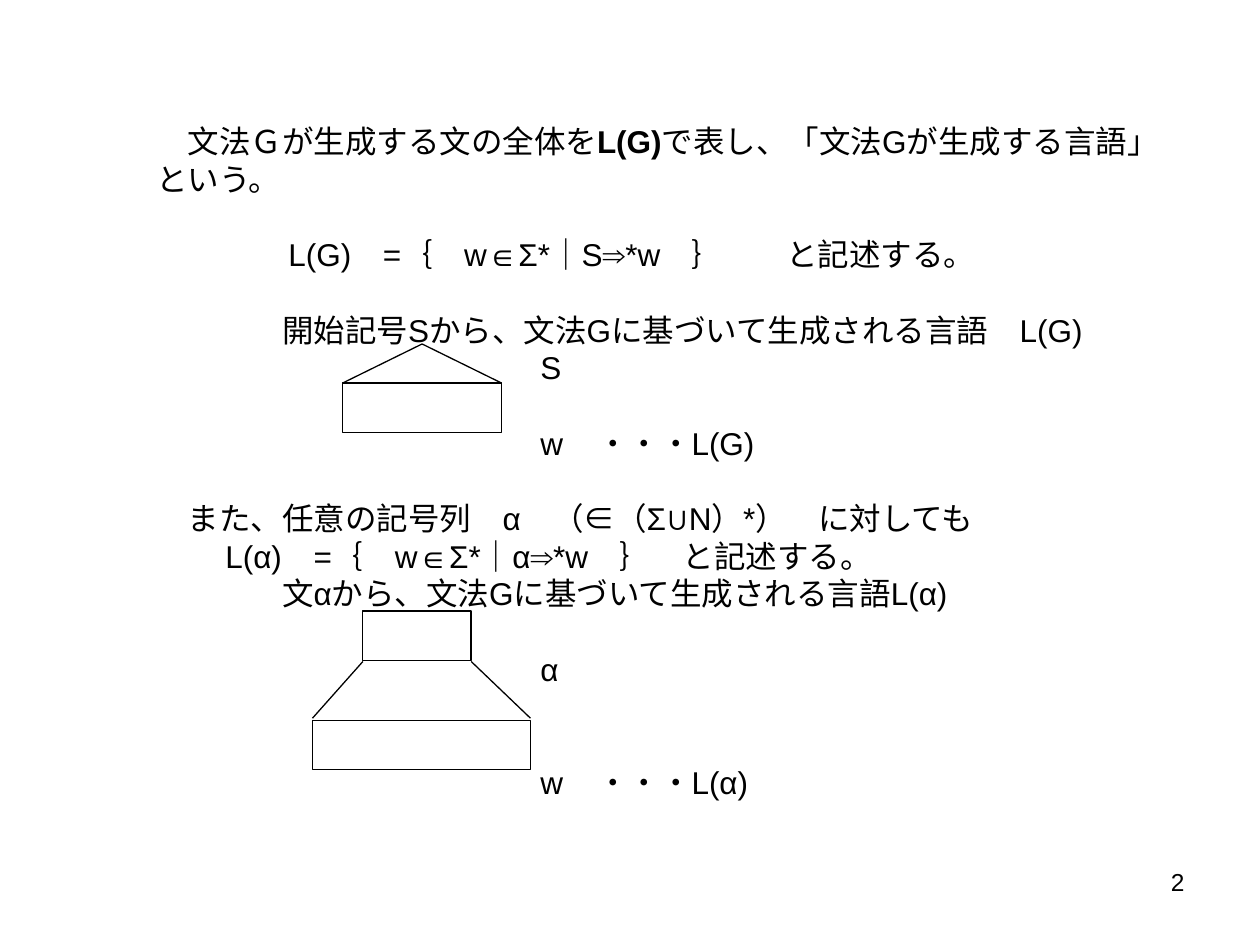
from lxml import etree
from pptx import Presentation
from pptx.dml.color import RGBColor
from pptx.enum.shapes import MSO_CONNECTOR, MSO_SHAPE
from pptx.enum.text import PP_ALIGN
from pptx.oxml.ns import qn
from pptx.util import Inches, Pt

STRAIGHT = MSO_CONNECTOR.STRAIGHT
RECTANGLE = MSO_SHAPE.RECTANGLE
LEFT, RIGHT = PP_ALIGN.LEFT, PP_ALIGN.RIGHT
BLACK = RGBColor(0, 0, 0)
FONT = "Arial"
LINE_HEIGHT = 21.55
BLANK_LAYOUT = 6
SYMBOL_INDENT = 3.05

# Each row: text spans (text, bold), first-line indent, tab stop, blank lines before
ROWS = [
    ([("文法Ｇが生成する文の全体を", False), ("L(G)", True),
      ("で表し、「文法Gが生成する言語」という。", False)], 0.25, None, 0),
    ([("L(G)　=｛　w∈Σ*｜S⇒*w　｝\tと記述する。", False)], 1.05, 5.44, 1),
    ([("開始記号Sから、文法Gに基づいて生成される言語　L(G)", False)], 1, None, 1),
    ([("S", False)], SYMBOL_INDENT, None, 0),
    ([("w\t・・・L(G)", False)], SYMBOL_INDENT, 4.28, 1),
    ([("また、任意の記号列　α　（∈（Σ∪N）*）　に対しても", False)], 0.25, None, 1),
    ([("L(α)　=｛　w∈Σ*｜α⇒*w　｝　と記述する。", False)], 0.55, None, 0),
    ([("文αから、文法Gに基づいて生成される言語L(α)", False)], 1, None, 0),
    ([("α", False)], SYMBOL_INDENT, None, 1),
    ([("w\t・・・L(α)", False)], SYMBOL_INDENT, 4.78, 2),
]
RECTANGLES = [
    (2.72, 3.04, 1.26, 0.39),
    (2.88, 4.85, 0.86, 0.39),
    (2.48, 5.72, 1.73, 0.39),
]
LINES = [
    (3.35, 2.73, 2.72, 3.04),
    (3.35, 2.73, 3.98, 3.04),
    (2.88, 5.25, 2.48, 5.7),
    (3.74, 5.25, 4.21, 5.7),
]


def add_text_box(page, left, top, width, height):
    """Add a wrapping text box and return its text frame."""
    box = page.shapes.add_textbox(Inches(left), Inches(top), Inches(width), Inches(height))
    box.text_frame.word_wrap = True
    return box.text_frame


def write_text(para, spans, size=18, align=LEFT, indent=0, tab=None, blank_lines=0):
    """Write the spans into a paragraph with the given format."""
    properties = para._p.get_or_add_pPr()
    properties.set("marL", "0")
    properties.set("indent", str(Inches(indent)))
    if tab:
        stops = etree.SubElement(properties, qn("a:tabLst"))
        etree.SubElement(stops, qn("a:tab"), pos=str(Inches(tab)), algn="l")
    para.alignment = align
    para.line_spacing = Pt(LINE_HEIGHT * size / 18)
    if blank_lines:
        para.space_before = Pt(LINE_HEIGHT * blank_lines)
    for text, bold in spans:
        span = para.add_run()
        span.text = text
        span.font.name = FONT
        span.font.size = Pt(size)
        span.font.bold = bold
        span.font.color.rgb = BLACK


def add_explanation(page):
    """Add the definitions of the generated languages."""
    frame = add_text_box(page, 1.14, 0.92, 8.33, 5.55)
    for index, (spans, indent, tab, blank_lines) in enumerate(ROWS):
        para = frame.add_paragraph() if index else frame.paragraphs[0]
        write_text(para, spans, indent=indent, tab=tab, blank_lines=blank_lines)


def style_line(line):
    """Give an outline the thin black stroke."""
    line.color.rgb = BLACK
    line.width = Pt(0.75)


def add_rectangle(page, left, top, width, height):
    """Add an unfilled rectangle for a string of symbols."""
    shape = page.shapes.add_shape(
        RECTANGLE, Inches(left), Inches(top), Inches(width), Inches(height))
    shape.shadow.inherit = False
    shape.fill.background()
    style_line(shape.line)


def add_line(page, start_x, start_y, end_x, end_y):
    """Add a straight derivation line."""
    connector = page.shapes.add_connector(
        STRAIGHT, Inches(start_x), Inches(start_y), Inches(end_x), Inches(end_y))
    style_line(connector.line)
    etree.SubElement(connector._element.spPr, qn("a:effectLst"))


def main():
    """Build the slide on generated languages."""
    deck = Presentation()
    deck.slide_width, deck.slide_height = Inches(10), Inches(7.5)
    page = deck.slides.add_slide(deck.slide_layouts[BLANK_LAYOUT])
    number = add_text_box(page, 7.17, 6.83, 2.33, 0.52)
    write_text(number.paragraphs[0], [("2", False)], size=14, align=RIGHT)
    add_explanation(page)
    for rectangle in RECTANGLES:
        add_rectangle(page, *rectangle)
    for line in LINES:
        add_line(page, *line)
    deck.save("out.pptx")


if __name__ == "__main__":
    main()
